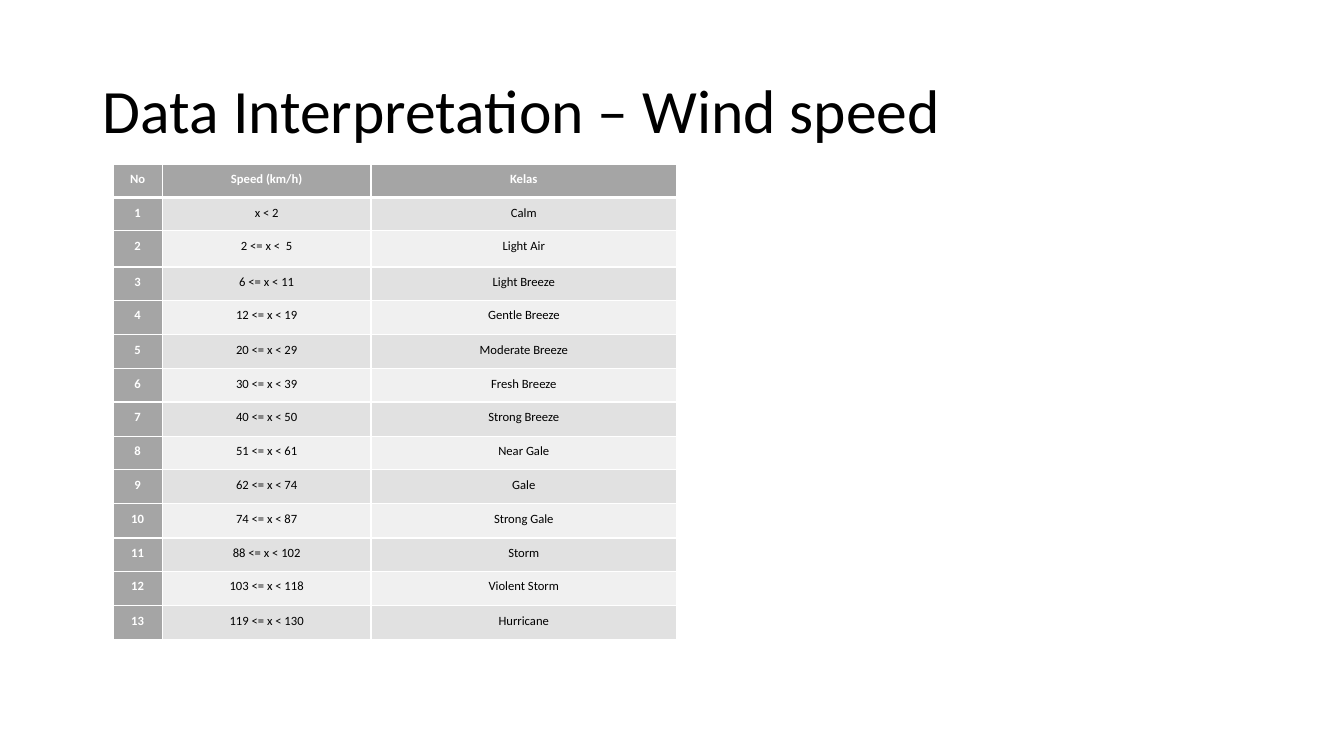
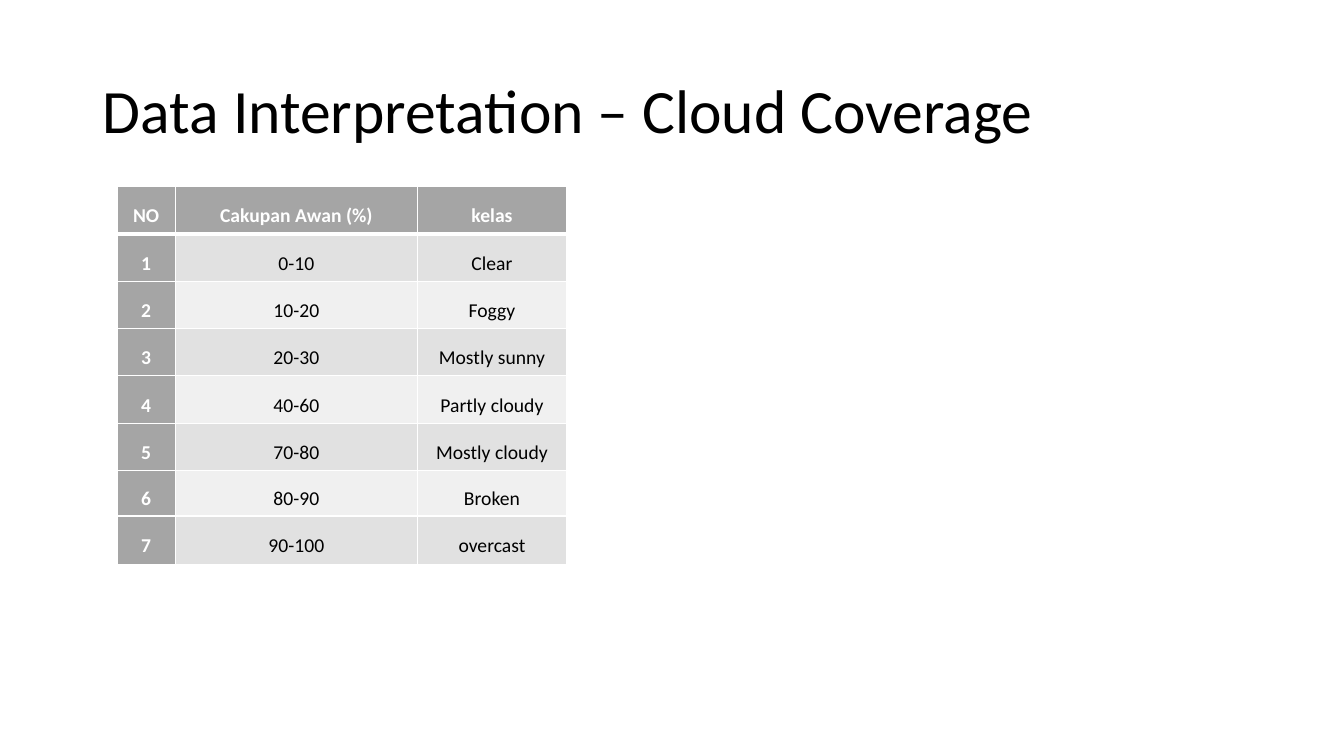
from pptx import Presentation
from pptx.dml.color import RGBColor
from pptx.enum import text
from pptx.oxml import ns
from pptx.util import Inches, Pt
from lxml import etree

COLORS = {
    "ink": "000000",
    "paper": "FFFFFF",
    "head": "A5A5A5",
    "odd": "E1E1E1",
    "even": "F0F0F0",
}


def color(name):
    return RGBColor.from_string(COLORS[name])


class Deck:
    face = "Calibri"

    def __init__(self):
        self.prs = Presentation()
        self.prs.slide_width = Inches(13.33)
        self.prs.slide_height = Inches(7.5)
        self.slide = None

    def style(self, para, size, tint, bold=False):
        para.font.name = self.face
        para.font.size = Pt(size)
        para.font.bold = bold
        para.font.color.rgb = color(tint)

    def page(self, words):
        self.slide = self.prs.slides.add_slide(self.prs.slide_layouts[5])
        title = self.slide.shapes.title
        title.left, title.top = Inches(0.92), Inches(0.4)
        title.width, title.height = Inches(11.5), Inches(1.45)
        frame = title.text_frame
        frame.text = words
        frame.word_wrap = True
        frame.auto_size = text.MSO_AUTO_SIZE.NONE
        frame.vertical_anchor = text.MSO_ANCHOR.MIDDLE
        para = frame.paragraphs[0]
        para.alignment = text.PP_ALIGN.LEFT
        para.line_spacing = 0.9
        self.style(para, 44, "ink")

    def edge(self, cell, side, width):
        props = cell._tc.get_or_add_tcPr()
        line = etree.SubElement(props, ns.qn("a:ln" + side), w=str(Pt(width)))
        fill = etree.SubElement(line, ns.qn("a:solidFill"))
        etree.SubElement(fill, ns.qn("a:srgbClr"), val=COLORS["paper"])

    def cell(self, cell, words, row, col, size, inset, anchor):
        cell.text = words
        cell.margin_left = cell.margin_right = Inches(inset)
        cell.margin_top = cell.margin_bottom = 0
        cell.vertical_anchor = anchor
        para = cell.text_frame.paragraphs[0]
        para.alignment = text.PP_ALIGN.CENTER
        para.line_spacing = 1.5
        head = row == 0 or col == 0
        self.style(para, size, "paper" if head else "ink", head)
        widths = {"L": 1, "R": 1, "T": 3 if row == 1 else 1, "B": 3 if row == 0 else 1}
        for side, width in widths.items():
            self.edge(cell, side, width)
        cell.fill.solid()
        band = "odd" if row % 2 else "even"
        cell.fill.fore_color.rgb = color("head" if head else band)

    def table(self, left, top, cols, rows, head, data, size, inset, anchor):
        lines = [head] + [(str(i), *pair) for i, pair in enumerate(data, 1)]
        frame = self.slide.shapes.add_table(
            len(lines), len(cols), Inches(left), Inches(top),
            Inches(sum(cols)), Inches(sum(rows)))
        grid = frame.table
        for col, width in zip(grid.columns, cols):
            col.width = Inches(width)
        for row, height in zip(grid.rows, rows):
            row.height = Inches(height)
        for r, line in enumerate(lines):
            for c, words in enumerate(line):
                self.cell(grid.cell(r, c), words, r, c, size, inset, anchor)


WIND = [
    ("x < 2", "Calm"),
    ("2 <= x <  5", "Light Air"),
    ("6 <= x < 11", "Light Breeze"),
    ("12 <= x < 19", "Gentle Breeze"),
    ("20 <= x < 29", "Moderate Breeze"),
    ("30 <= x < 39", "Fresh Breeze"),
    ("40 <= x < 50", "Strong Breeze"),
    ("51 <= x < 61", "Near Gale"),
    ("62 <= x < 74", "Gale"),
    ("74 <= x < 87", "Strong Gale"),
    ("88 <= x < 102", "Storm"),
    ("103 <= x < 118", "Violent Storm"),
    ("119 <= x < 130", "Hurricane"),
]

CLOUD = [
    ("0-10", "Clear"),
    ("10-20", "Foggy"),
    ("20-30", "Mostly sunny"),
    ("40-60", "Partly cloudy"),
    ("70-80", "Mostly cloudy"),
    ("80-90", "Broken"),
    ("90-100", "overcast"),
]


def main():
    deck = Deck()
    deck.page("Data Interpretation – Wind speed")
    rows = [0.33, 0.33, 0.36, 0.33, 0.34, 0.34, 0.33,
            0.34, 0.33, 0.34, 0.34, 0.33, 0.34, 0.34]
    deck.table(1.12, 1.63, [0.49, 2.07, 3.03], rows,
               ("No", "Speed (km/h)", "Kelas"), WIND,
               9, 0.07, text.MSO_ANCHOR.TOP)
    deck.page("Data Interpretation – Cloud Coverage")
    deck.table(1.16, 1.85, [0.58, 2.4, 1.48], [0.47] * 6 + [0.45, 0.48],
               ("NO", "Cakupan Awan (%)", "kelas"), CLOUD,
               14, 0.12, text.MSO_ANCHOR.MIDDLE)
    deck.prs.save("out.pptx")


if __name__ == "__main__":
    main()
